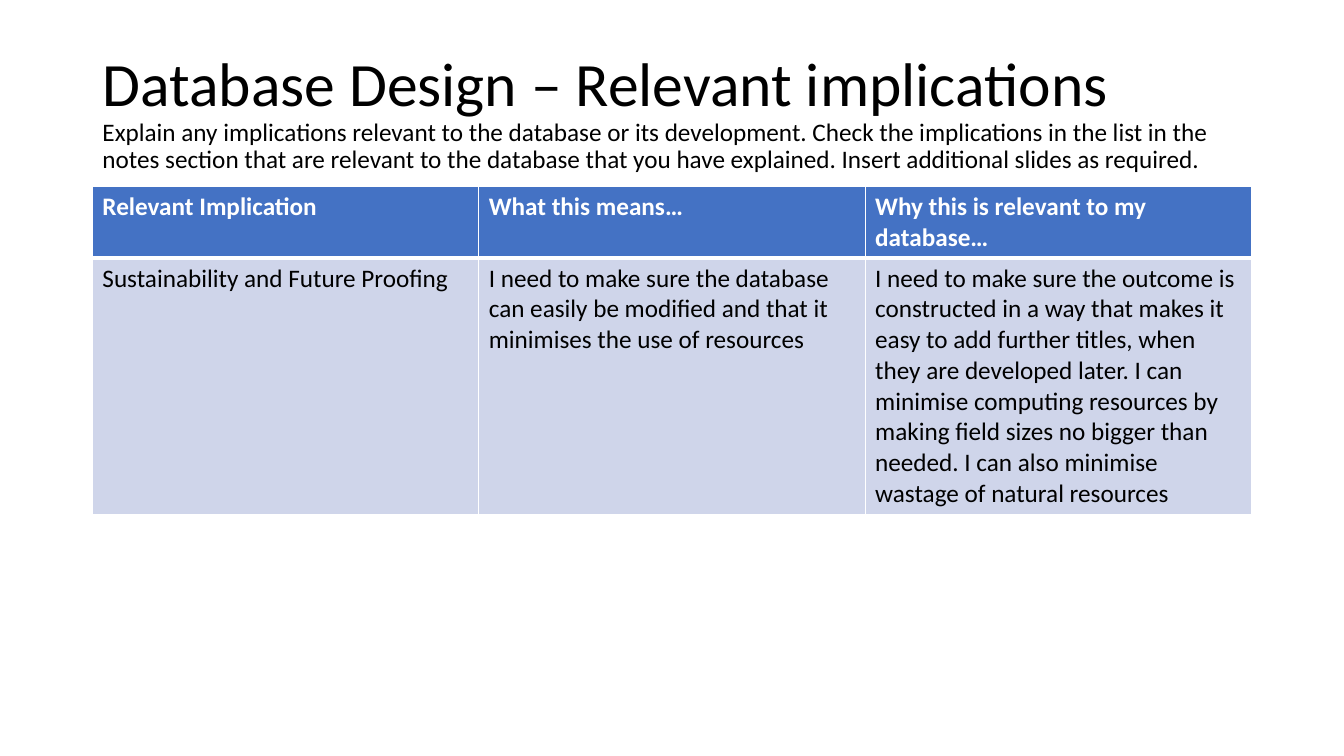
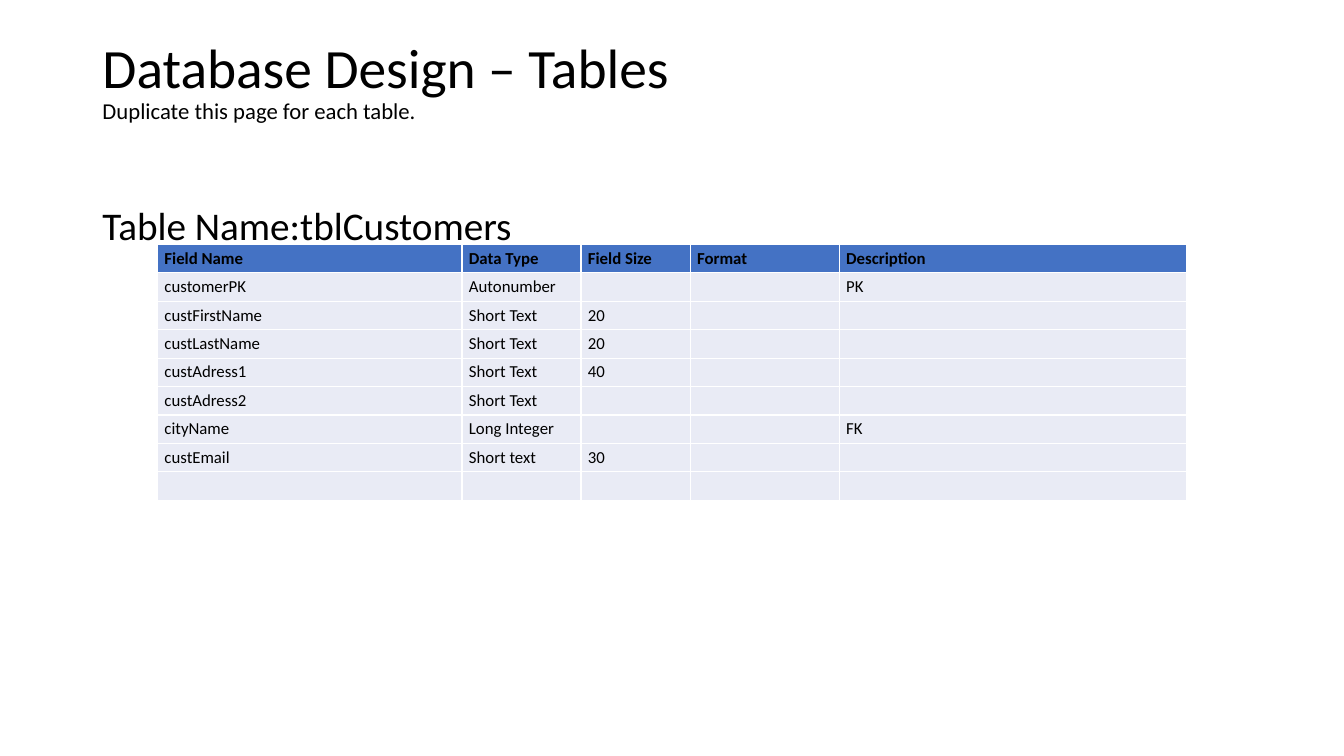
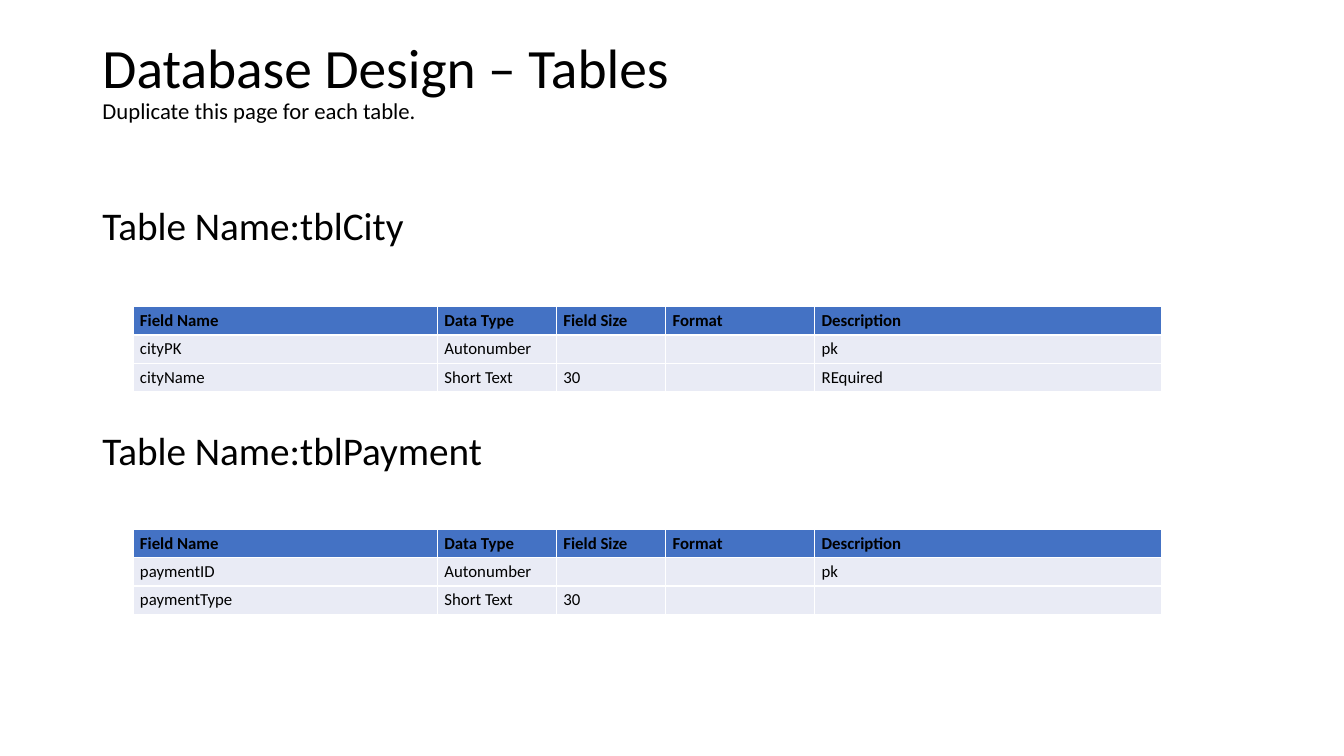
from dataclasses import dataclass

from lxml import etree
from pptx import Presentation
from pptx.dml.color import RGBColor
from pptx.enum import text
from pptx.oxml import ns
from pptx.util import Pt

# Shared look
FONT = "Calibri"
BLACK = RGBColor(0x00, 0x00, 0x00)
WHITE = RGBColor(0xFF, 0xFF, 0xFF)
BLUE = RGBColor(0x44, 0x72, 0xC4)
LAVENDER = RGBColor(0xCF, 0xD5, 0xEA)
PALE = RGBColor(0xE9, 0xEB, 0xF5)
LEFT, WIDTH = 66, 828
LINE_SPACING = 0.9


@dataclass(frozen=True)
class TableStyle:
    size: float
    header_color: RGBColor
    body_fill: RGBColor
    margin_x: float
    margin_y: float
    header_rule: float
    header_anchor: text.MSO_ANCHOR
    columns: tuple[float, ...]
    header_height: float
    row_height: float


@dataclass(frozen=True)
class FieldTable:
    name: str
    heading_top: float
    left: float
    top: float
    rows: list[tuple[str, ...]]


IMPLICATIONS = TableStyle(18, WHITE, LAVENDER, 7.2, 3.6, 3, text.MSO_ANCHOR.TOP,
                          (WIDTH / 3,) * 3, 51, 183)
FIELDS = TableStyle(12, BLACK, PALE, 5, 2.8, 1, text.MSO_ANCHOR.MIDDLE,
                    (217.5, 85, 78, 106.5, 248), 20.3, 20.3)
FIELD_HEADER = ("Field Name", "Data Type", "Field Size", "Format", "Description")

IMPLICATION_ROWS = [
    ("Relevant Implication", "What this means…", "Why this is relevant to my database…"),
    ("Sustainability and Future Proofing",
     "I need to make sure the database can easily be modified and that it "
     "minimises the use of resources",
     "I need to make sure the outcome is constructed in a way that makes it easy to add "
     "further titles, when they are developed later. I can minimise computing resources "
     "by making field sizes no bigger than needed. I can also minimise wastage of "
     "natural resources"),
]

FIELD_SLIDES = [
    [FieldTable("tblCustomers", 144, 112.5, 174.6, [
        ("customerPK", "Autonumber", "", "", "PK"),
        ("custFirstName", "Short Text", "20", "", ""),
        ("custLastName", "Short Text", "20", "", ""),
        ("custAdress1", "Short Text", "40", "", ""),
        ("custAdress2", "Short Text", "", "", ""),
        ("cityName", "Long Integer", "", "", "FK"),
        ("custEmail", "Short text", "30", "", ""),
        ("",) * 5,
    ])],
    [FieldTable("tblCity", 144, 95, 219, [
        ("cityPK", "Autonumber", "", "", "pk"),
        ("cityName", "Short Text", "30", "", "REquired"),
    ]),
     FieldTable("tblPayment", 304.7, 95, 378, [
         ("paymentID", "Autonumber", "", "", "pk"),
         ("paymentType", "Short Text", "30", "", ""),
     ])],
]


def style_paragraph(p, size: float, color: RGBColor = BLACK, bold: bool = False) -> None:
    p.font.name, p.font.size, p.font.bold = FONT, Pt(size), bold
    p.font.color.rgb = color


def add_titled_slide(prs, title: str, title_size: float, note: str, note_size: float,
                     anchor: text.MSO_ANCHOR, margin_y: float):
    s = prs.slides.add_slide(prs.slide_layouts[5])
    sp = s.shapes.title
    sp.left, sp.top, sp.width, sp.height = Pt(LEFT), Pt(28.8), Pt(WIDTH), Pt(104.4)
    tf = sp.text_frame
    tf.text = f"{title}\n{note}"
    tf.auto_size = text.MSO_AUTO_SIZE.NONE
    tf.vertical_anchor = anchor
    tf.margin_top = tf.margin_bottom = Pt(margin_y)
    for p, size in zip(tf.paragraphs, (title_size, note_size)):
        p.alignment = text.PP_ALIGN.LEFT
        p.line_spacing = LINE_SPACING
        style_paragraph(p, size)
    return s


def add_heading(s, top: float, words: str) -> None:
    tf = s.shapes.add_textbox(Pt(LEFT), Pt(top), Pt(WIDTH), Pt(38)).text_frame
    tf.word_wrap = True
    tf.text = words
    p = tf.paragraphs[0]
    p.line_spacing = LINE_SPACING
    style_paragraph(p, 28)


def set_borders(cell, top: float, bottom: float) -> None:
    """White borders; the lines must come before the cell's fill."""
    tc_pr = cell._tc.get_or_add_tcPr()
    widths = {"a:lnL": 1, "a:lnR": 1, "a:lnT": top, "a:lnB": bottom}
    for i, (tag, width) in enumerate(widths.items()):
        ln = etree.Element(ns.qn(tag), w=str(Pt(width)))
        fill = etree.SubElement(ln, ns.qn("a:solidFill"))
        etree.SubElement(fill, ns.qn("a:srgbClr"), val=str(WHITE))
        tc_pr.insert(i, ln)


def add_table(s, left: float, top: float, rows: list[tuple[str, ...]],
              style: TableStyle) -> None:
    heights = [style.header_height] + [style.row_height] * (len(rows) - 1)
    table = s.shapes.add_table(len(rows), len(style.columns), Pt(left), Pt(top),
                               Pt(sum(style.columns)), Pt(sum(heights))).table
    table.horz_banding = False
    for column, width in zip(table.columns, style.columns):
        column.width = Pt(width)
    for r, (row, height) in enumerate(zip(rows, heights)):
        table.rows[r].height = Pt(height)
        header = r == 0
        for c, words in enumerate(row):
            cell = table.cell(r, c)
            cell.text = words
            cell.margin_left = cell.margin_right = Pt(style.margin_x)
            cell.margin_top = cell.margin_bottom = Pt(style.margin_y)
            cell.vertical_anchor = style.header_anchor if header else text.MSO_ANCHOR.TOP
            cell.fill.solid()
            cell.fill.fore_color.rgb = BLUE if header else style.body_fill
            set_borders(cell, style.header_rule if r == 1 else 1,
                        style.header_rule if header else 1)
            style_paragraph(cell.text_frame.paragraphs[0], style.size,
                            style.header_color if header else BLACK, header)


def main() -> None:
    prs = Presentation()
    prs.slide_width, prs.slide_height = Pt(960), Pt(540)

    # Relevant implications
    s = add_titled_slide(
        prs, "Database Design – Relevant implications", 44,
        "Explain any implications relevant to the database or its development. Check the "
        "implications in the list in the notes section that are relevant to the database "
        "that you have explained. Insert additional slides as required.", 18,
        text.MSO_ANCHOR.MIDDLE, 3.6)
    add_table(s, LEFT, 133.2, IMPLICATION_ROWS, IMPLICATIONS)

    # Field tables
    for field_tables in FIELD_SLIDES:
        s = add_titled_slide(prs, "Database Design – Tables", 39.6,
                             "Duplicate this page for each table.", 16.2,
                             text.MSO_ANCHOR.TOP, 0)
        for ft in field_tables:
            add_heading(s, ft.heading_top, f"Table Name:{ft.name}")
            add_table(s, ft.left, ft.top, [FIELD_HEADER, *ft.rows], FIELDS)

    prs.save("out.pptx")


if __name__ == "__main__":
    main()
